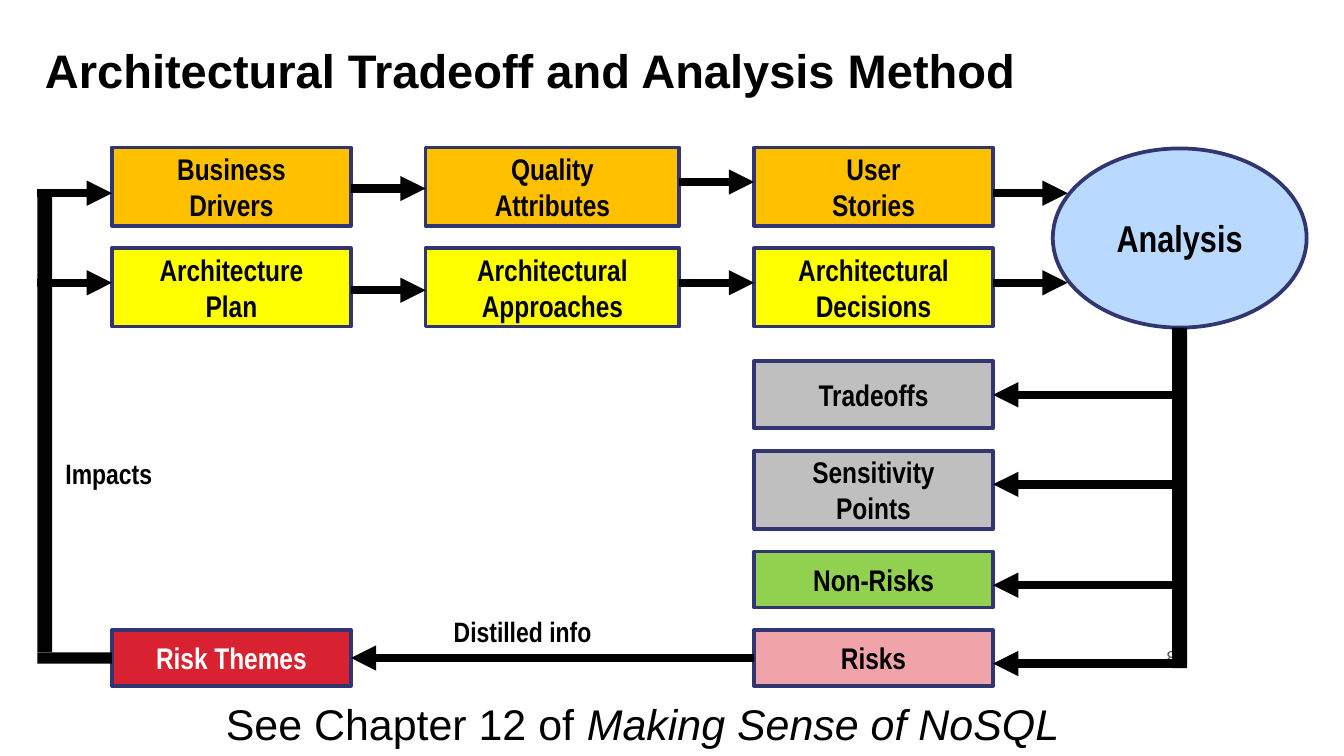
import dataclasses

import pptx
import pptx.dml.color
import pptx.enum.shapes
import pptx.enum.text
import pptx.oxml.ns
import pptx.util
from lxml import etree

Pt = pptx.util.Pt
RGBColor = pptx.dml.color.RGBColor
Shape = pptx.enum.shapes.MSO_SHAPE
Align = pptx.enum.text.PP_ALIGN
Anchor = pptx.enum.text.MSO_ANCHOR
qn = pptx.oxml.ns.qn

INK = RGBColor(0x01, 0x01, 0x01)
BLACK = RGBColor(0x00, 0x00, 0x00)
WHITE = RGBColor(0xFF, 0xFF, 0xFF)
NUMBER_GRAY = RGBColor(0x59, 0x59, 0x59)
NAVY = RGBColor(0x31, 0x35, 0x71)
ORANGE = RGBColor(0xFF, 0xC0, 0x00)
YELLOW = RGBColor(0xFF, 0xFF, 0x00)
GRAY = RGBColor(0xBF, 0xBF, 0xBF)
GREEN = RGBColor(0x92, 0xD0, 0x50)
PINK = RGBColor(0xF1, 0xA3, 0xAA)
RED = RGBColor(0xD9, 0x22, 0x31)
SKY = RGBColor(0xBA, 0xD9, 0xFF)

COLUMNS = ((60, 128), (228, 136), (404, 128))
COLUMN_ENDS = [left + width for left, width in COLUMNS]
LEFT_BAR = 20
RIGHT_BAR = 628
ANALYSIS_EDGE = 572


@dataclasses.dataclass(frozen=True)
class Node:
    text: str
    column: int
    top: float
    height: float
    fill: RGBColor
    color: RGBColor = INK


@dataclasses.dataclass(frozen=True)
class Arrow:
    start: float
    end: float
    y: float


@dataclasses.dataclass(frozen=True)
class Label:
    text: str
    left: float
    top: float
    width: float
    height: float
    size: float
    font: str = "Arial Narrow"
    color: RGBColor = INK
    bold: bool = True
    align: Align = Align.LEFT
    anchor: Anchor = Anchor.TOP
    margin_x: float = 7.2
    margin_y: float = 3.6
    wrap: bool = True


NODES = (
    Node("Business\nDrivers", 0, 79, 42, ORANGE),
    Node("Quality\nAttributes", 1, 79, 42, ORANGE),
    Node("User\nStories", 2, 79, 42, ORANGE),
    Node("Architecture\nPlan", 0, 133, 42, YELLOW),
    Node("Architectural\nApproaches", 1, 133, 42, YELLOW),
    Node("Architectural\nDecisions", 2, 133, 42, YELLOW),
    Node("Tradeoffs", 2, 193.5, 36, GRAY),
    Node("Sensitivity\nPoints", 2, 241.5, 42, GRAY),
    Node("Non-Risks", 2, 295.5, 30, GREEN),
    Node("Risks", 2, 337.5, 30, PINK),
    Node("Risk Themes", 0, 337.5, 30, RED, WHITE),
)

ARROWS = (
    Arrow(COLUMN_ENDS[0], COLUMNS[1][0], 101),
    Arrow(COLUMN_ENDS[1], COLUMNS[2][0], 97.5),
    Arrow(COLUMN_ENDS[0], COLUMNS[1][0], 155.5),
    Arrow(COLUMN_ENDS[1], COLUMNS[2][0], 151.5),
    *(Arrow(COLUMN_ENDS[2], ANALYSIS_EDGE, y) for y in (103.5, 151.5)),
    *(Arrow(LEFT_BAR, COLUMNS[0][0], y) for y in (103.5, 151.5)),
    *(Arrow(RIGHT_BAR, COLUMN_ENDS[2], y) for y in (211.5, 259.5, 313.5, 355.5)),
    Arrow(COLUMNS[2][0], COLUMN_ENDS[0], 352.5),
)

BARS = (
    (RIGHT_BAR, 175.5, 8, 182.5),
    (LEFT_BAR, 103.5, 8, 246),
    (LEFT_BAR, 349.5, 40, 6),
)

TITLE = Label("Architectural Tradeoff and Analysis Method", 17, 15, 671, 45, 25.2,
              font="Arial", color=BLACK, margin_y=7.2)
PAGE_NUMBER = Label("85", 600, 336.5, 43, 31, 10, font="Arial", color=NUMBER_GRAY,
                    bold=False, align=Align.RIGHT, anchor=Anchor.MIDDLE, margin_y=7.2)
DISTILLED = Label("Distilled info", 236, 325.5, 89, 25, 15, wrap=False)
IMPACTS = Label("Impacts", 28, 241, 61, 25, 15, wrap=False)
REFERENCE = Label("See Chapter 12 of ", 121, 374, 454, 28, 23, font="Arial",
                  bold=False, margin_x=0, margin_y=0)


def write_text(box, label: Label) -> None:
    frame = box.text_frame
    frame.text = label.text
    frame.word_wrap = label.wrap
    frame.vertical_anchor = label.anchor
    frame.margin_left = frame.margin_right = Pt(label.margin_x)
    frame.margin_top = frame.margin_bottom = Pt(label.margin_y)
    for para in frame.paragraphs:
        para.alignment = label.align
        para.font.name = label.font
        para.font.size = Pt(label.size)
        para.font.bold = label.bold
        para.font.color.rgb = label.color


def add_label(page, label: Label):
    box = page.shapes.add_textbox(Pt(label.left), Pt(label.top),
                                  Pt(label.width), Pt(label.height))
    write_text(box, label)
    return box


def add_block(page, kind: Shape, left: float, top: float, width: float,
              height: float, fill: RGBColor, outlined: bool = True):
    block = page.shapes.add_shape(kind, Pt(left), Pt(top), Pt(width), Pt(height))
    block.shadow.inherit = False
    block.fill.solid()
    block.fill.fore_color.rgb = fill
    if outlined:
        block.line.color.rgb = NAVY
        block.line.width = Pt(2)
    else:
        block.line.fill.background()
    return block


def add_node(page, node: Node) -> None:
    left, width = COLUMNS[node.column]
    block = add_block(page, Shape.RECTANGLE, left, node.top, width, node.height, node.fill)
    write_text(block, Label(node.text, left, node.top, width, node.height, 16,
                            color=node.color, align=Align.CENTER, anchor=Anchor.MIDDLE))


def add_arrow(page, arrow: Arrow) -> None:
    connector = page.shapes.add_connector(
        pptx.enum.shapes.MSO_CONNECTOR.STRAIGHT,
        Pt(arrow.start), Pt(arrow.y), Pt(arrow.end), Pt(arrow.y))
    connector.line.color.rgb = INK
    connector.line.width = Pt(4.5)
    etree.SubElement(connector.line._get_or_add_ln(), qn("a:tailEnd"), type="triangle")
    etree.SubElement(connector._element.spPr, qn("a:effectLst"))


def main() -> None:
    deck = pptx.Presentation()
    deck.slide_width, deck.slide_height = Pt(720), Pt(405)
    page = deck.slides.add_slide(deck.slide_layouts[6])

    add_label(page, TITLE)
    add_label(page, PAGE_NUMBER)
    for node in NODES:
        add_node(page, node)
    analysis = add_block(page, Shape.OVAL, 564, 79.5, 136, 96, SKY)
    write_text(analysis, Label("Analysis", 564, 79.5, 136, 96, 20, align=Align.CENTER,
                               anchor=Anchor.MIDDLE, margin_x=0))
    for arrow in ARROWS:
        add_arrow(page, arrow)
    for bar in BARS:
        add_block(page, Shape.RECTANGLE, *bar, INK, outlined=False)
    add_label(page, DISTILLED)
    add_label(page, IMPACTS)

    reference = add_label(page, REFERENCE)
    book = reference.text_frame.paragraphs[0].add_run()
    book.text = "Making Sense of NoSQL"
    book.font.italic = True

    deck.save("out.pptx")


if __name__ == "__main__":
    main()
